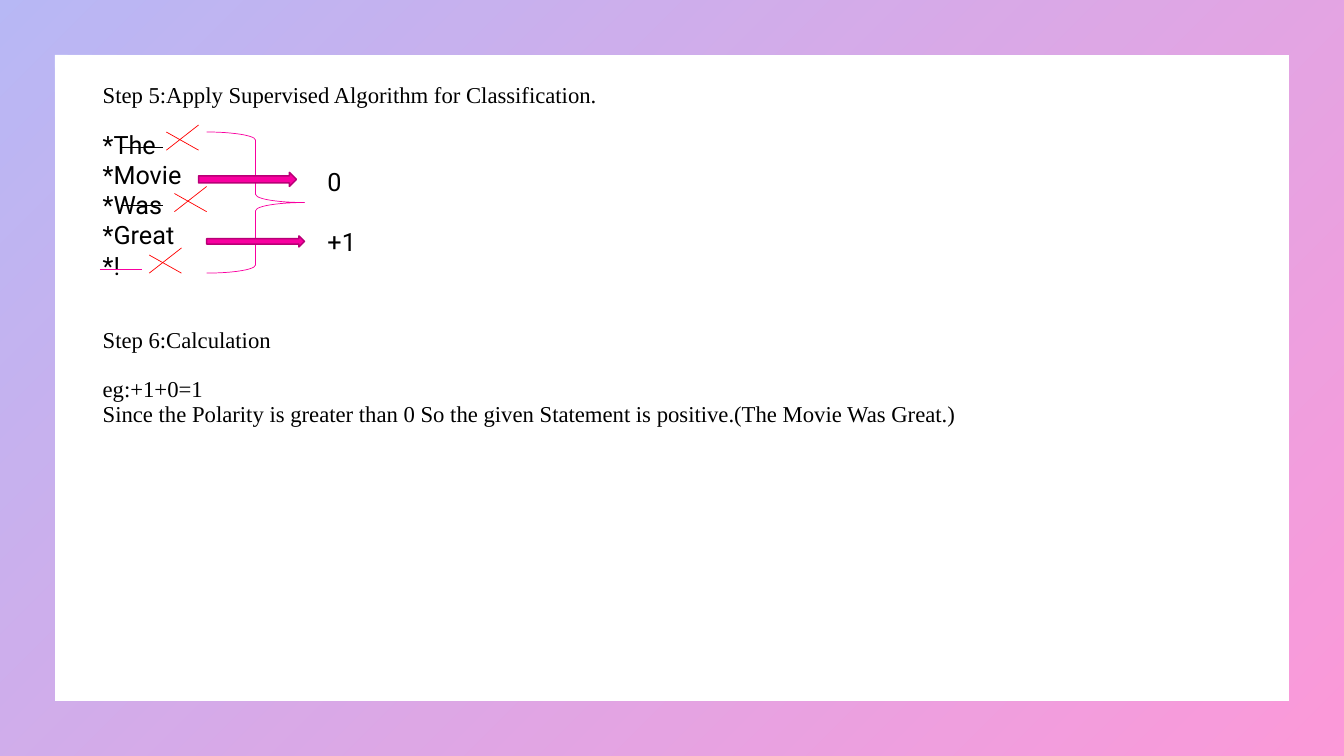
import pptx
import pptx.util
import pptx.dml.color
import pptx.enum.shapes
import pptx.oxml
import pptx.oxml.ns

W, H = 13.33, 7.5
COLORS = {"blue": "4D4EE6", "pink": "F900A0", "plum": "B80076",
          "red": "FF0000", "black": "000000"}
SHAPE = pptx.enum.shapes.MSO_SHAPE
STEP_PITCH = 17.5
WORD_PITCH = 21.1


def inches(*values):
    """Convert lengths in inches to slide units."""
    return [pptx.util.Inches(v) for v in values]


def rgb(name):
    """Look up a palette colour."""
    return pptx.dml.color.RGBColor.from_string(COLORS[name])


def add_text(s, box, lines, font, size, pitch=None, inset=0.05, gaps=None):
    """Place lines as paragraphs, with optional space before some of them."""
    tf = s.shapes.add_textbox(*inches(*box)).text_frame
    tf.word_wrap = True
    tf.margin_top = tf.margin_bottom = pptx.util.Inches(inset)
    for i, line in enumerate(lines):
        p = tf.paragraphs[0] if i == 0 else tf.add_paragraph()
        p.text = line
        p.font.name = font
        p.font.size = pptx.util.Pt(size)
        p.font.color.rgb = rgb("black")
        if pitch:
            p.line_spacing = pptx.util.Pt(pitch)
        if gaps and i in gaps:
            p.space_before = pptx.util.Pt(gaps[i])


def add_line(s, x1, y1, x2, y2, color):
    """Draw a thin straight line without a shadow."""
    c = s.shapes.add_connector(pptx.enum.shapes.MSO_CONNECTOR.STRAIGHT,
                               *inches(x1, y1, x2, y2))
    c.line.color.rgb = rgb(color)
    c.line.width = pptx.util.Pt(0.5)
    pptx.oxml.ns.qn("a:effectLst")
    c._element.spPr.append(pptx.oxml.parse_xml(
        f"<a:effectLst {pptx.oxml.ns.nsdecls('a')}/>"))


def add_shape(s, kind, box, line=None, width=0.5, fill=None):
    """Draw a preset shape with an optional outline and fill."""
    sp = s.shapes.add_shape(kind, *inches(*box))
    sp.shadow.inherit = False
    if fill:
        sp.fill.solid()
        sp.fill.fore_color.rgb = rgb(fill)
    else:
        sp.fill.background()
    if line:
        sp.line.color.rgb = rgb(line)
        sp.line.width = pptx.util.Pt(width)
    else:
        sp.line.fill.background()
    return sp


def add_border(s, box):
    """Draw the translucent gradient frame around the slide."""
    sp = add_shape(s, SHAPE.FRAME, box)
    sp.adjustments[0] = 0.072
    sp.fill.gradient()
    sp.fill.gradient_angle = 315
    for stop, name in zip(sp.fill.gradient_stops, ("blue", "pink")):
        stop.color.rgb = rgb(name)
    for clr in sp._element.spPr.iter(pptx.oxml.ns.qn("a:srgbClr")):
        clr.append(pptx.oxml.parse_xml(
            f"<a:alpha {pptx.oxml.ns.nsdecls('a')} val='40000'/>"))


def add_steps(s, x, y, w):
    """Write the two step headings and the calculation."""
    font = "Times New Roman"
    add_text(s, (x, y, w, 0.3),
             ["Step 5:Apply Supervised Algorithm for Classification."],
             font, 16.2, STEP_PITCH, 0)
    add_text(s, (x, y + 10 * STEP_PITCH / 72, w, 1.1),
             ["Step 6:Calculation", "eg:+1+0=1",
              "Since the Polarity is greater than 0 So the given Statement is "
              "positive.(The Movie Was Great.)"],
             font, 16.2, STEP_PITCH, 0, {1: STEP_PITCH})


def add_classification(s, x, y):
    """Draw the word list, its struck words and the scores of the others."""
    add_text(s, (x, y, 1.29, 1.62),
             ["*The", "*Movie", "*Was", "*Great", "*!"], "Roboto", 18)
    for dx, dy in ((0.73, 0.01), (0.81, 0.62), (0.56, 1.23)):
        left, top, right, bottom = x + dx, y + dy, x + dx + 0.32, y + dy + 0.25
        add_line(s, left, top + 0.07, right, bottom, "red")
        add_line(s, left, bottom, right, top, "red")
    for dx, dy, color in ((0.28, 0.23, "black"), (0.28, 0.81, "black"),
                          (0.07, 1.44, "pink")):
        add_line(s, x + dx, y + dy, x + dx + 0.42, y + dy, color)
    add_shape(s, SHAPE.RIGHT_BRACE, (x + 1.13, y + 0.08, 0.97, 1.4), "pink")
    for dx, dy, h in ((1.05, 0.48, 0.14), (1.13, 1.11, 0.11)):
        add_shape(s, SHAPE.RIGHT_ARROW, (x + dx, y + dy, 0.97, h),
                  "plum", 1, "pink")
    add_text(s, (x + 2.23, y + 0.37, 0.66, 1.01), ["0", "+1"], "Roboto", 18,
             gaps={1: WORD_PITCH})


def main():
    """Build the slide and save it."""
    prs = pptx.Presentation()
    prs.slide_width, prs.slide_height = inches(W, H)
    s = prs.slides.add_slide(prs.slide_layouts[6])
    add_border(s, (0, 0, W, H))
    add_steps(s, 0.92, 0.83, 11.5)
    add_classification(s, 0.92, 1.23)
    prs.save("out.pptx")


if __name__ == "__main__":
    main()
